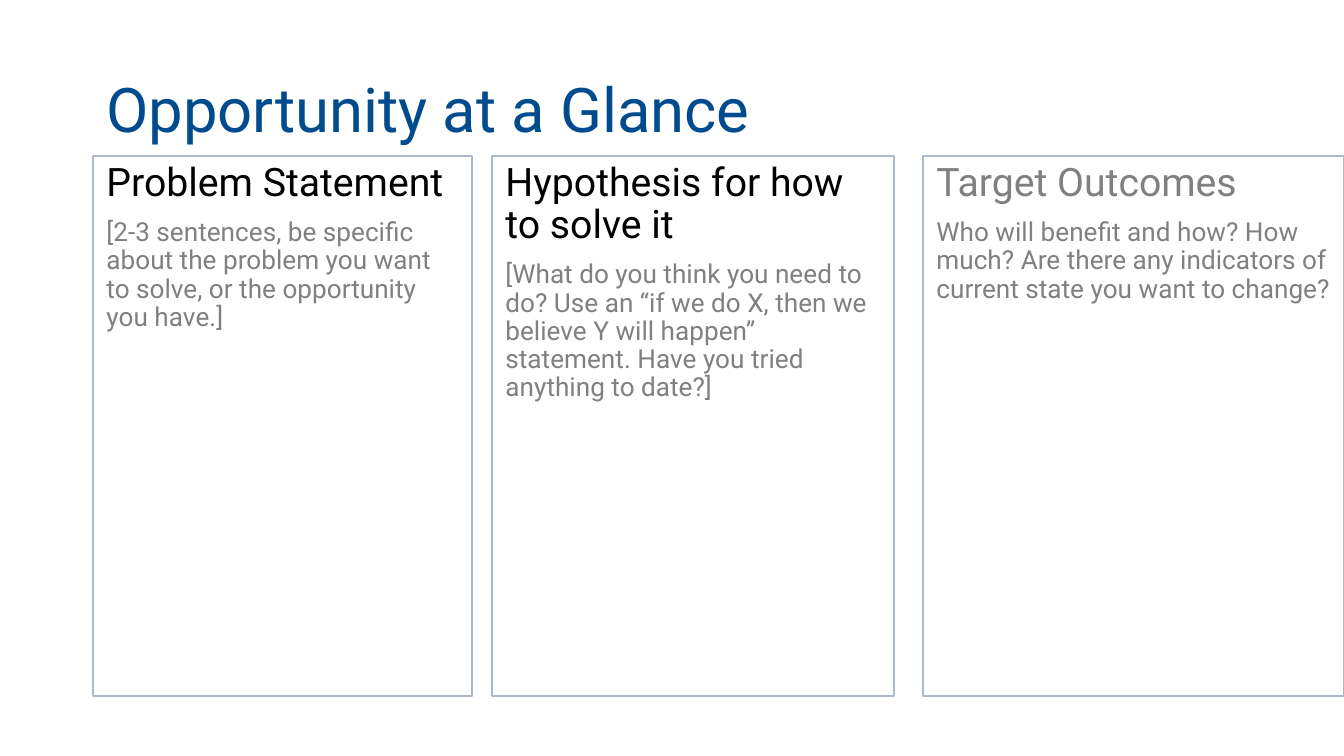
from lxml.etree import SubElement
from pptx import Presentation
from pptx.dml.color import RGBColor
from pptx.enum.text import MSO_ANCHOR, MSO_AUTO_SIZE, PP_ALIGN
from pptx.oxml.ns import qn
from pptx.util import Pt

PX = 6804  # EMU per px, 134.4 px to the inch
INK = {"title": "004B8D", "head": "000000", "hint": "808080",
       "fill": "FFFFFF", "line": "ADB9CA"}


def place(shape, left, top, width, height):
    shape.left, shape.top = left * PX, top * PX
    shape.width, shape.height = width * PX, height * PX


def style(para, size, ink):
    para.alignment = PP_ALIGN.LEFT
    para.line_spacing = 0.9
    para.font.name = "Roboto"
    para.font.size = Pt(size)
    para.font.bold = False
    para.font.color.rgb = RGBColor.from_string(INK[ink])


deck = Presentation()
deck.slide_width, deck.slide_height = 1344 * PX, 756 * PX
slide = deck.slides.add_slide(deck.slide_layouts.get_by_name("Comparison"))
title, *bodies = slide.placeholders

place(title, 93, 40, 1159, 146)
title.text_frame.text = "Opportunity at a Glance"
title.text_frame.vertical_anchor = MSO_ANCHOR.MIDDLE
title.text_frame.auto_size = MSO_AUTO_SIZE.NONE
style(title.text_frame.paragraphs[0], 33, "title")

# left, width, heading, heading colour, hint
cards = [
    (93, 379, "Problem Statement", "head",
     "[2-3 sentences, be specific about the problem you want to solve, "
     "or the opportunity you have.]"),
    (492, 402, "Hypothesis for how to solve it", "head",
     "[What do you think you need to do? Use an “if we do X, then we believe "
     "Y will happen” statement. Have you tried anything to date?]"),
    (923, 421, "Target Outcomes", "hint",
     "Who will benefit and how? How much? Are there any indicators of "
     "current state you want to change?"),
]

for body, (left, width, head, ink, hint) in zip(bodies, cards):
    place(body, left, 156, width, 540)
    body.fill.solid()
    body.fill.fore_color.rgb = RGBColor.from_string(INK["fill"])
    tint = body.fill._xPr.find(qn("a:solidFill"))[0]
    SubElement(tint, qn("a:alpha"), val="83000")
    body.line.color.rgb = RGBColor.from_string(INK["line"])
    body.line.width = Pt(0.75)

    frame = body.text_frame
    frame.vertical_anchor = MSO_ANCHOR.TOP
    frame.auto_size = MSO_AUTO_SIZE.NONE
    frame.text = f"{head}\n{hint}"
    rows = [(21, ink, 0), (14, "hint", 7.5)]
    for para, (size, tone, gap) in zip(frame.paragraphs, rows):
        props = para._p.get_or_add_pPr()
        props.set("marL", "0")
        props.set("indent", "0")
        SubElement(props, qn("a:buNone"))
        style(para, size, tone)
        para.space_before = Pt(gap)

for spare in bodies[len(cards):]:
    spare.element.getparent().remove(spare.element)

deck.save("out.pptx")
